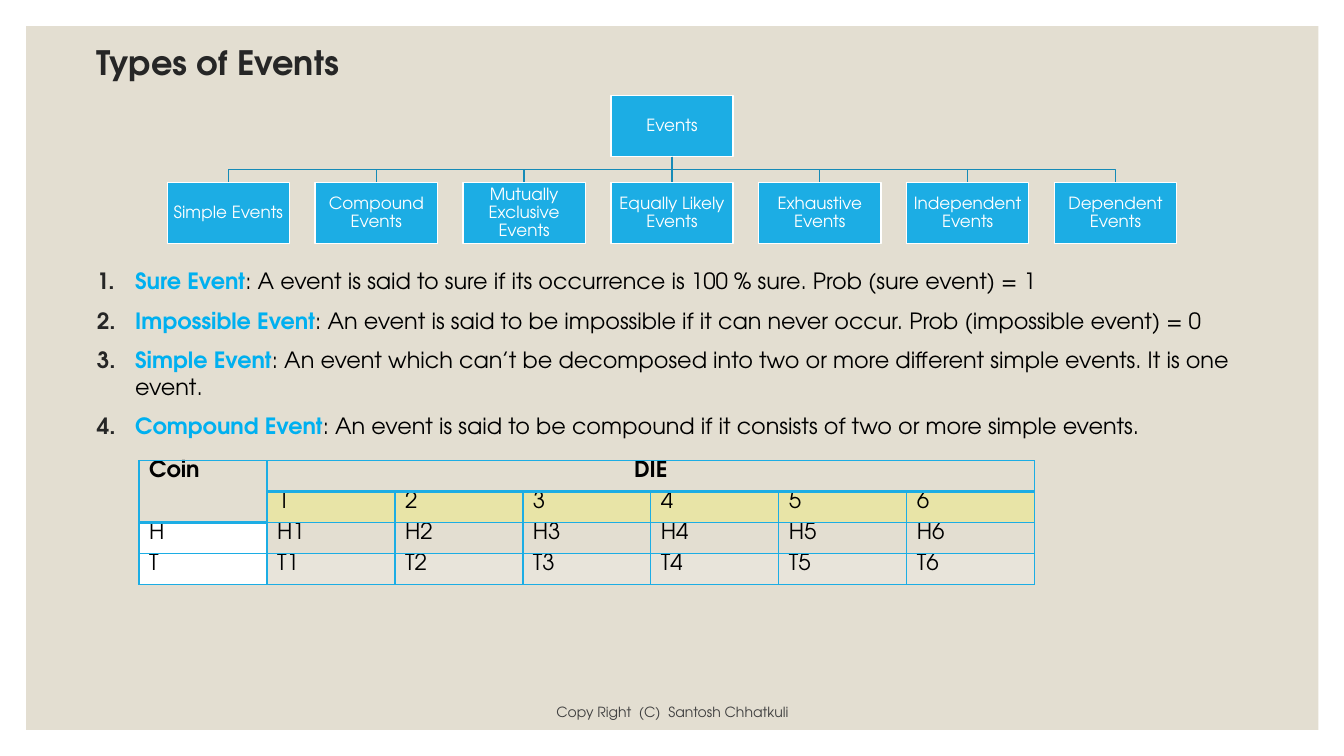
from lxml.etree import SubElement
from pptx import Presentation
from pptx.dml.color import RGBColor
from pptx.enum.shapes import MSO_CONNECTOR, MSO_SHAPE
from pptx.enum.text import MSO_ANCHOR, MSO_AUTO_SIZE, PP_ALIGN
from pptx.oxml.ns import qn
from pptx.util import Inches, Pt

BLUE, LINE, ACCENT = "1CADE4", "168BB7", "00B0F0"
BLACK, WHITE, DARK, GREY = "000000", "FFFFFF", "262626", "404040"
KINDS = ["Simple", "Compound", "Mutually Exclusive", "Equally Likely",
         "Exhaustive", "Independent", "Dependent"]
DEFINITIONS = [
    ("Sure Event", ": A event is said to sure if its occurrence is 100 % sure. Prob (sure event) = 1"),
    ("Impossible Event", ": An event is said to be impossible if it can never occur. Prob (impossible event) = 0"),
    ("Simple Event", ": An event which can’t be decomposed into two or more different simple events. It is one event."),
    ("Compound Event", ": An event is said to be compound if it consists of two or more simple events."),
]


def rgb(color):
    """Return the colour of a hex string."""
    return RGBColor.from_string(color)


class Slide:
    """Hold the style and the current slide; lengths are percent of its size."""

    font = "TeX Gyre Adventor"

    def __init__(self, prs):
        """Add a title and content slide."""
        self.w, self.h = prs.slide_width, prs.slide_height
        self.s = prs.slides.add_slide(prs.slide_layouts[1])

    def x(self, share):
        """Return a share of the width."""
        return int(self.w * share / 100)

    def y(self, share):
        """Return a share of the height."""
        return int(self.h * share / 100)

    def box(self, left, top, width, height):
        """Return a box as lengths."""
        return self.x(left), self.y(top), self.x(width), self.y(height)

    def text(self, p, text, size=16, color=BLACK, bold=False, align=PP_ALIGN.LEFT, spacing=None):
        """Add a formatted run to a paragraph."""
        p.alignment = align
        if spacing:
            p.line_spacing = spacing
        r = p.add_run()
        r.text = text
        r.font.name, r.font.size, r.font.bold = self.font, Pt(size), bold
        r.font.color.rgb = rgb(color)

    def frame(self, sp, anchor):
        """Set up and return the text frame of a shape."""
        tf = sp.text_frame
        tf.word_wrap, tf.auto_size, tf.vertical_anchor = True, MSO_AUTO_SIZE.NONE, anchor
        return tf

    def place(self, sp, box, anchor):
        """Move a placeholder and return its text frame."""
        sp.left, sp.top, sp.width, sp.height = self.box(*box)
        return self.frame(sp, anchor)

    def title(self, text, box):
        """Fill the title placeholder."""
        tf = self.place(self.s.shapes.title, box, MSO_ANCHOR.MIDDLE)
        self.text(tf.paragraphs[0], text, size=24, color=DARK, bold=True, spacing=0.9)

    def numbered(self, items, box, indent):
        """Fill the body placeholder with a numbered list of terms."""
        tf = self.place(self.s.placeholders[1], box, MSO_ANCHOR.TOP)
        for i, (term, meaning) in enumerate(items):
            p = tf.add_paragraph() if i else tf.paragraphs[0]
            pPr = p._p.get_or_add_pPr()
            pPr.set("marL", str(self.x(indent)))
            pPr.set("indent", str(-self.x(indent)))
            SubElement(SubElement(pPr, qn("a:buClr")), qn("a:srgbClr"), val=DARK)
            SubElement(pPr, qn("a:buFontTx"))
            SubElement(pPr, qn("a:buAutoNum"), type="arabicPeriod")
            p.space_before = Pt(9 if i else 0)
            self.text(p, term, color=ACCENT, bold=True)
            self.text(p, meaning)

    def rect(self, box, fill, line=None, text=None):
        """Add a rectangle with an optional centred label."""
        sp = self.s.shapes.add_shape(MSO_SHAPE.RECTANGLE, *self.box(*box))
        sp.shadow.inherit = False
        sp.fill.solid()
        sp.fill.fore_color.rgb = rgb(fill)
        if line:
            sp.line.color.rgb, sp.line.width = rgb(line), Pt(1)
        else:
            sp.line.fill.background()
        if text:
            tf = self.frame(sp, MSO_ANCHOR.MIDDLE)
            tf.margin_left = tf.margin_right = tf.margin_top = tf.margin_bottom = self.x(0.08)
            self.text(tf.paragraphs[0], text, size=12, color=WHITE,
                      align=PP_ALIGN.CENTER, spacing=0.9)
        return sp

    def branch(self, parent, child):
        """Join the bottom of a parent to the top of a child."""
        x1, y1 = parent.left + parent.width // 2, parent.top + parent.height
        x2, y2 = child.left + child.width // 2, child.top
        if abs(x1 - x2) < Pt(1):
            sp = self.s.shapes.add_connector(MSO_CONNECTOR.STRAIGHT, x1, y1, x2, y2)
            sp.begin_connect(parent, 2)
            sp.end_connect(child, 0)
            SubElement(sp._element.spPr, qn("a:effectLst"))
        else:
            middle = (y1 + y2) // 2
            fb = self.s.shapes.build_freeform(x1, y1)
            fb.add_line_segments([(x1, middle), (x2, middle), (x2, y2)], close=False)
            sp = fb.convert_to_shape()
            sp.shadow.inherit = False
            sp.fill.background()
        sp.line.color.rgb, sp.line.width = rgb(LINE), Pt(1)

    def caption(self, text, box):
        """Add a centred caption."""
        tf = self.frame(self.s.shapes.add_textbox(*self.box(*box)), MSO_ANCHOR.BOTTOM)
        self.text(tf.paragraphs[0], text, size=10, color=GREY, align=PP_ALIGN.CENTER)

    def cell(self, cell, text, fill=None, alpha=100, top=1, bottom=1, **style):
        """Format a table cell with borders, fill and text."""
        cell.margin_top = cell.margin_bottom = 0
        tcPr = cell._tc.get_or_add_tcPr()
        for side, width in (("L", 1), ("R", 1), ("T", top), ("B", bottom)):
            ln = SubElement(tcPr, qn(f"a:ln{side}"), w=str(Pt(width)))
            SubElement(SubElement(ln, qn("a:solidFill")), qn("a:srgbClr"), val=BLUE)
        if fill:
            cell.fill.solid()
            cell.fill.fore_color.rgb = rgb(fill)
            color = tcPr.find(qn("a:solidFill")).find(qn("a:srgbClr"))
            SubElement(color, qn("a:alpha"), val=str(alpha * 1000))
        else:
            cell.fill.background()
        if text:
            self.text(cell.text_frame.paragraphs[0], text, **style)

    def outcomes(self, coins, faces, left, top, col, row):
        """Add the table of coin and die outcomes."""
        rows = [["Coin", "DIE"] + [""] * (len(faces) - 1), [""] + faces]
        rows += [[c] + [c + f for f in faces] for c in coins]
        n, m = len(rows), len(rows[0])
        tbl = self.s.shapes.add_table(n, m, *self.box(left, top, col * m, row * n)).table
        tbl.first_row = tbl.horz_banding = False
        tbl.cell(0, 0).merge(tbl.cell(1, 0))
        tbl.cell(0, 1).merge(tbl.cell(0, m - 1))
        for i, texts in enumerate(rows):
            tbl.rows[i].height = self.y(row)
            for j, text in enumerate(texts):
                tbl.columns[j].width = self.x(col)
                fill, alpha = None, 20
                if i == 1 and j:
                    fill = "FFFF00"
                elif i > 1 and j == 0:
                    fill, alpha = WHITE, 100
                elif i == n - 1:
                    fill = WHITE
                top_w, bottom_w = (2 if k == 0 or (k, j) == (1, 0) else 1 for k in (i - 1, i))
                self.cell(tbl.cell(i, j), text, fill, alpha, top_w, bottom_w, bold=i == 0,
                          align=PP_ALIGN.CENTER if (i, j) == (0, 1) else PP_ALIGN.LEFT)


def main():
    """Build the slide."""
    prs = Presentation()
    prs.slide_width, prs.slide_height = Inches(13.33), Inches(7.5)
    s = Slide(prs)
    panel = s.rect((1.95, 3.47, 96.15, 93.07), "E3DED1")
    s.s.shapes.title._element.addprevious(panel._element)
    s.title("Types of Events", (6.45, 6, 82.5, 5.07))
    s.numbered(DEFINITIONS, (6.45, 34.67, 88.5, 25), 2.85)
    s.outcomes(["H", "T"], list("123456"), 10.35, 60.93, 9.52, 4.1)

    width, height, pitch = 9.1, 8.07, 11
    left = 50 - width / 2
    root = s.rect((left, 12.67, width, height), BLUE, WHITE, "Events")
    for i, kind in enumerate(KINDS):
        offset = (i - len(KINDS) // 2) * pitch
        child = s.rect((left + offset, 24.13, width, height), BLUE, WHITE, f"{kind} Events")
        s.branch(root, child)
    s.caption("Copy Right  (C)  Santosh Chhatkuli", (28.65, 92, 42.75, 4))
    prs.save("out.pptx")


if __name__ == "__main__":
    main()
